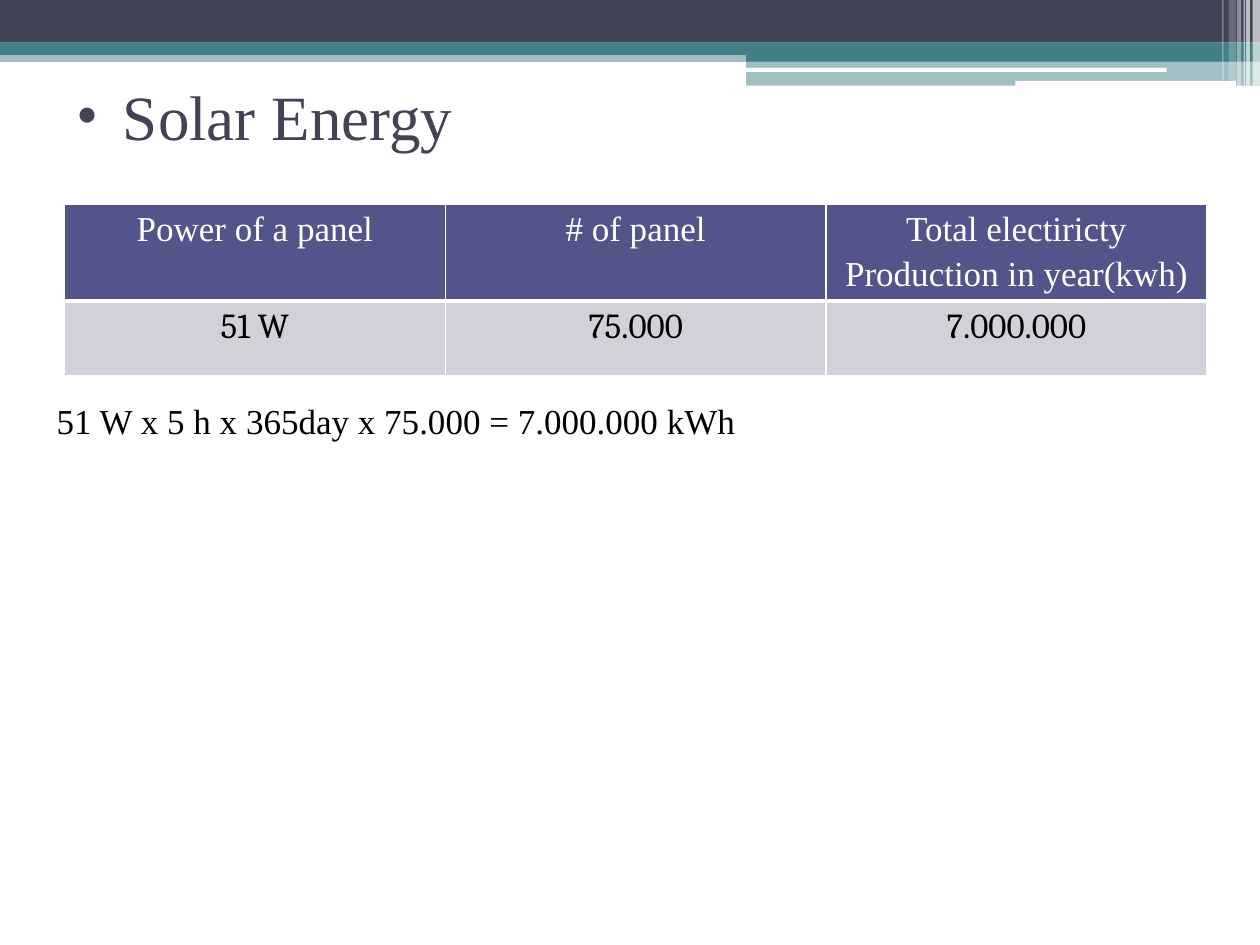
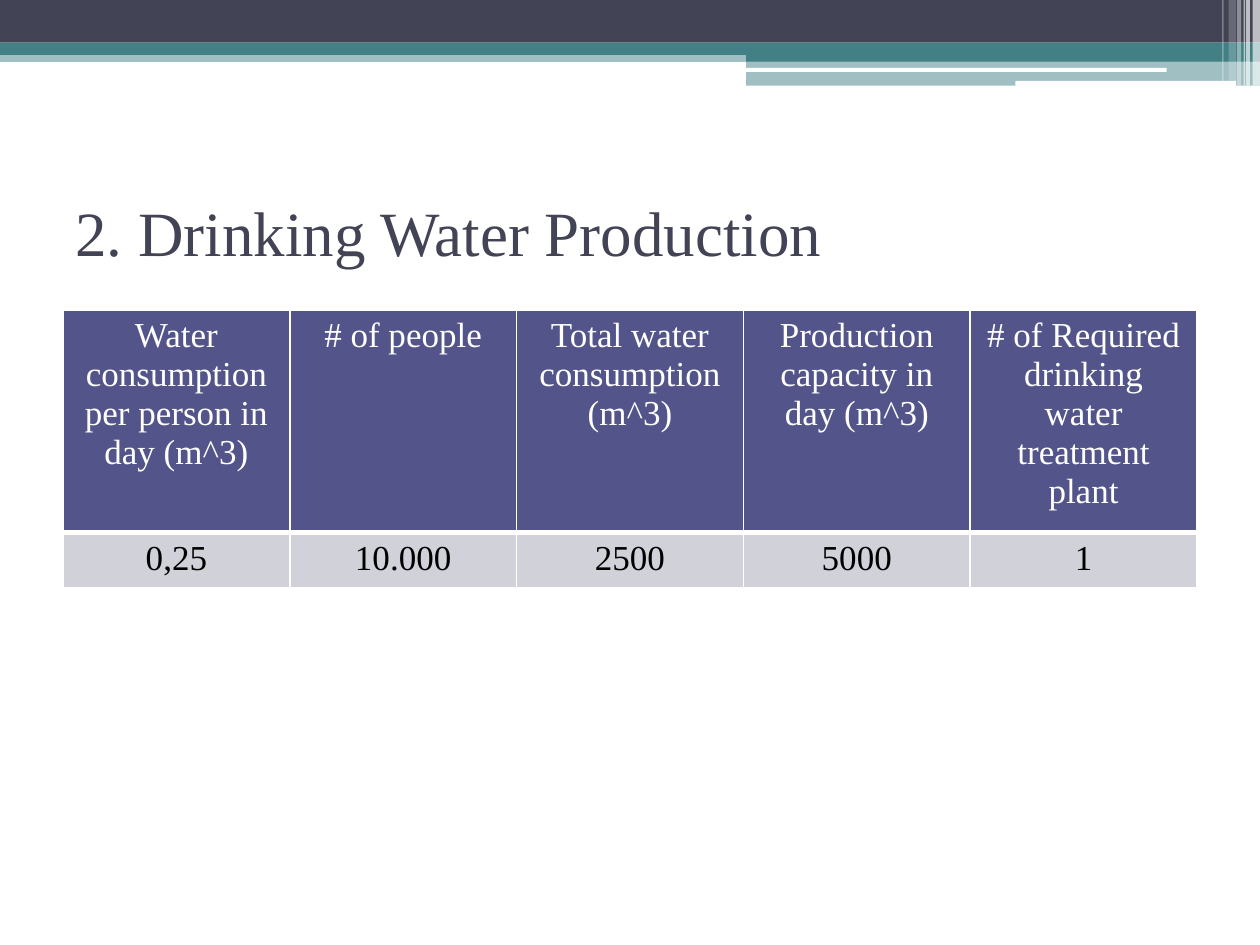
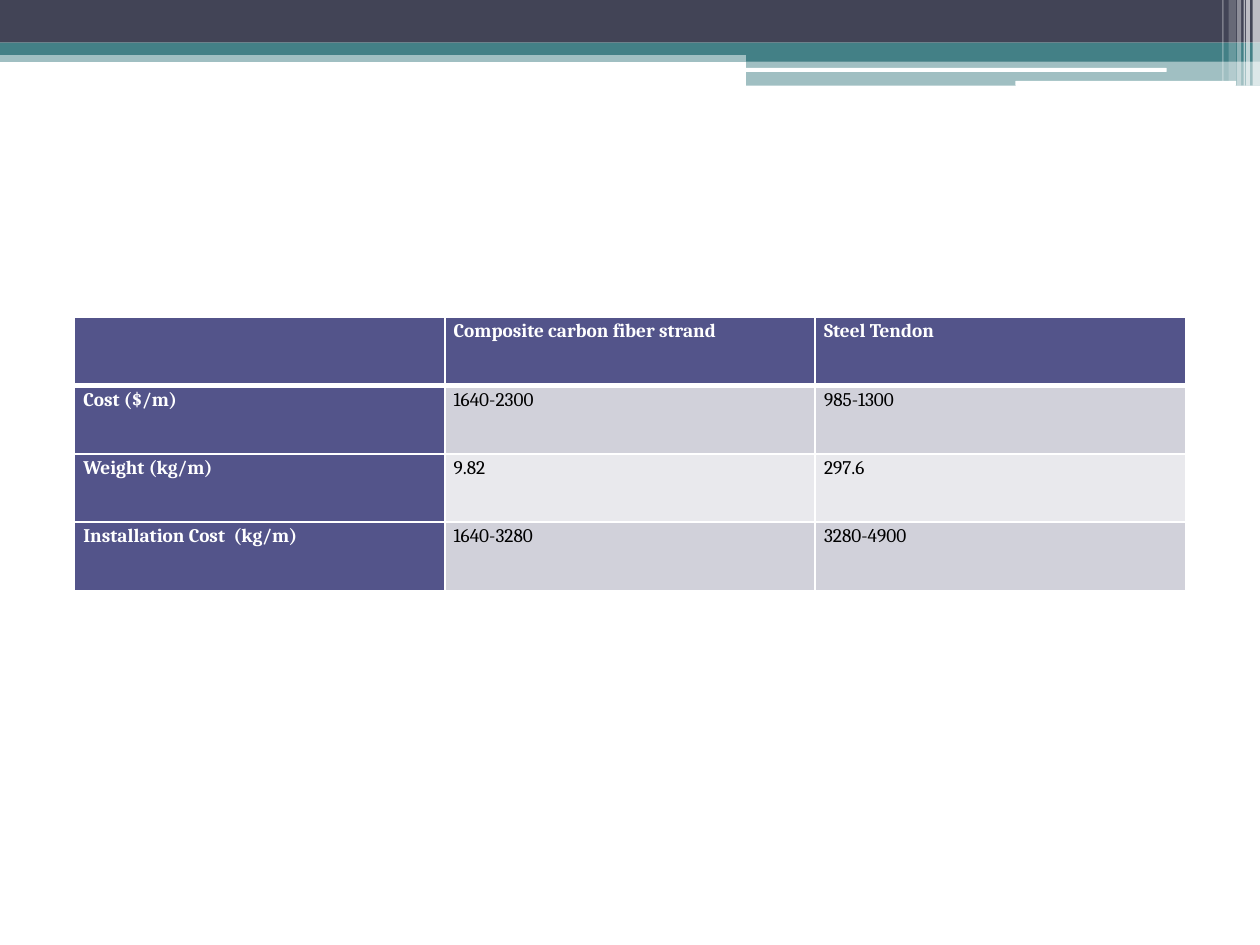
from lxml.etree import SubElement
from pptx import Presentation
from pptx.dml.color import RGBColor
from pptx.enum.shapes import MSO_SHAPE
from pptx.enum.text import MSO_ANCHOR, PP_ALIGN
from pptx.oxml.ns import qn
from pptx.util import Cm, Pt

NAVY, TEAL, WHITE, BLACK = "424456", "438086", "FFFFFF", "000000"
HEADER, BAND_DARK, BAND_LIGHT = "53548A", "D1D1DA", "E9E9ED"
SERIF, CAMBRIA = "Times New Roman", "Cambria"
SLIDE_W, SLIDE_H = 25.4, 19.05

# Top decoration: left, top, width, height, colour, opacity in percent
BANDS = [
    (0, 1.02, SLIDE_W, 0.23, TEAL, 50),
    (0, 0, SLIDE_W, 0.86, NAVY, 100),
    (0, 0.86, SLIDE_W, 0.25, TEAL, 100),
    (15.04, 0.99, 10.36, 0.25, TEAL, 100),
    (15.04, 1.22, 10.36, 0.51, TEAL, 50),
]
SLOTS = [(15.01, 1.37, 8.51, 0.08), (20.47, 1.63, 4.45, 0.1)]
# Right-hand stripes: left, width, height, opacity
STRIPES = [
    (25.25, 0.15, 1.73, 65),
    (25.12, 0.08, 1.73, 65),
    (25.07, 0.03, 1.73, 60),
    (24.94, 0.08, 1.73, 40),
    (24.77, 0.15, 1.63, 20),
    (24.64, 0.03, 1.63, 30),
]


def rgb(code):
    return RGBColor.from_string(code)


def cm_box(box):
    return [Cm(length) for length in box]


def style_font(paragraph, font_name, size, color, bold=False):
    for run in paragraph.runs:
        font = run.font
        font.name, font.size, font.bold = font_name, Pt(size), bold
        font.color.rgb = rgb(color)


def add_block(slide, box, color, opacity=100, preset=MSO_SHAPE.RECTANGLE):
    block = slide.shapes.add_shape(preset, *cm_box(box))
    block.shadow.inherit = False
    block.line.fill.background()
    block.fill.solid()
    block.fill.fore_color.rgb = rgb(color)
    if opacity < 100:
        color_xml = block.fill._xPr.find(".//" + qn("a:srgbClr"))
        SubElement(color_xml, qn("a:alpha"), val=str(opacity * 1000))


def add_header_bands(slide):
    for *box, color, opacity in BANDS:
        add_block(slide, box, color, opacity)
    for box in SLOTS:
        add_block(slide, box, WHITE, preset=MSO_SHAPE.ROUNDED_RECTANGLE)
    for left, width, height, opacity in STRIPES:
        add_block(slide, (left, 0, width, height), WHITE, opacity)


def add_text(slide, box, text, size, color, anchor=MSO_ANCHOR.TOP):
    frame = slide.shapes.add_textbox(*cm_box(box)).text_frame
    frame.word_wrap = True
    frame.vertical_anchor = anchor
    frame.text = text
    style_font(frame.paragraphs[0], SERIF, size, color)
    return frame.paragraphs[0]


def add_title(slide, box, text, bullet=False):
    title = add_text(slide, box, text, 36, NAVY, MSO_ANCHOR.MIDDLE)
    if bullet:
        properties = title._p.get_or_add_pPr()
        properties.set("marL", str(Cm(0.93)))
        properties.set("indent", str(-Cm(0.93)))
        SubElement(properties, qn("a:buFont"), typeface=SERIF)
        SubElement(properties, qn("a:buChar"), char="•")


def set_borders(cell, bottom):
    properties = cell._tc.get_or_add_tcPr()
    for side, width in zip("LRTB", (1, 1, 1, bottom)):
        line = SubElement(properties, qn("a:ln" + side), w=str(Pt(width)))
        fill = SubElement(line, qn("a:solidFill"))
        SubElement(fill, qn("a:srgbClr"), val=WHITE)


def set_spread(cell, side_margin):
    """Loose line spacing without top and bottom margins."""
    cell.margin_left = cell.margin_right = Cm(side_margin)
    cell.margin_top = cell.margin_bottom = 0
    cell.text_frame.paragraphs[0].line_spacing = 1.15


def add_data_table(slide, box, rows, heights, size, head_font, body_font,
                   align=PP_ALIGN.CENTER, label_column=False):
    table = slide.shapes.add_table(len(rows), len(rows[0]), *cm_box(box)).table
    table.first_row = table.horz_banding = False
    for column in table.columns:
        column.width = Cm(box[2] / len(rows[0]))
    for r, (values, height) in enumerate(zip(rows, heights)):
        table.rows[r].height = Cm(height)
        for c, value in enumerate(values):
            cell = table.cell(r, c)
            is_head = r == 0 or (label_column and c == 0)
            set_borders(cell, bottom=3 if r == 0 else 1)
            cell.fill.solid()
            body_fill = BAND_DARK if r % 2 else BAND_LIGHT
            cell.fill.fore_color.rgb = rgb(HEADER if is_head else body_fill)
            cell.text_frame.text = value
            paragraph = cell.text_frame.paragraphs[0]
            paragraph.alignment = align
            style_font(paragraph, head_font if is_head else body_font, size,
                       WHITE if is_head else BLACK, is_head and label_column)
    return table


def build_solar(slide):
    add_title(slide, (1.3, 0.74, 22.86, 3.18), "Solar Energy", bullet=True)
    rows = [
        ["Power of a panel", "# of panel",
         "Total electiricty Production in year(kwh)"],
        ["51 W", "75.000", "7.000.000"],
    ]
    production = add_data_table(slide, (1.3, 4.12, 23.03, 3.3), rows,
                                (1.8, 1.5), 20, SERIF, CAMBRIA)
    total_head = production.cell(0, 2)
    set_spread(total_head, 0.25)
    total_head.text_frame.paragraphs[0].space_after = Pt(10)
    add_text(slide, (0.89, 7.92, 22.81, 1.12),
             "51 W x 5 h x 365day x 75.000 = 7.000.000 kWh", 20, BLACK)


def build_water(slide):
    add_title(slide, (1.27, 3.18, 22.86, 2.97), "2. Drinking Water Production")
    rows = [
        ["Water consumption per person in day (m^3)", "# of people",
         "Total water consumption (m^3)", "Production capacity in day (m^3)",
         "# of Required drinking water treatment plant"],
        ["0,25", "10.000", "2500", "5000", "1"],
    ]
    add_data_table(slide, (1.27, 6.25, 22.86, 5.18), rows, (4.15, 1.03),
                   20, SERIF, SERIF)


def build_tendons(slide):
    rows = [
        ["", "Composite carbon fiber strand", "Steel Tendon"],
        ["Cost ($/m)", "1640-2300", "985-1300"],
        ["Weight (kg/m)", "9.82", "297.6"],
        ["Installation Cost  (kg/m)", "1640-3280", "3280-4900"],
    ]
    comparison = add_data_table(slide, (1.5, 6.39, 22.4, 5.52), rows,
                                [1.38] * 4, 11, CAMBRIA, CAMBRIA,
                                PP_ALIGN.LEFT, label_column=True)
    for cell in comparison.iter_cells():
        if cell.text_frame.text:
            set_spread(cell, 0.18)


def main():
    deck = Presentation()
    deck.slide_width, deck.slide_height = Cm(SLIDE_W), Cm(SLIDE_H)
    for build in (build_solar, build_water, build_tendons):
        slide = deck.slides.add_slide(deck.slide_layouts[6])
        add_header_bands(slide)
        build(slide)
    deck.save("out.pptx")


if __name__ == "__main__":
    main()
